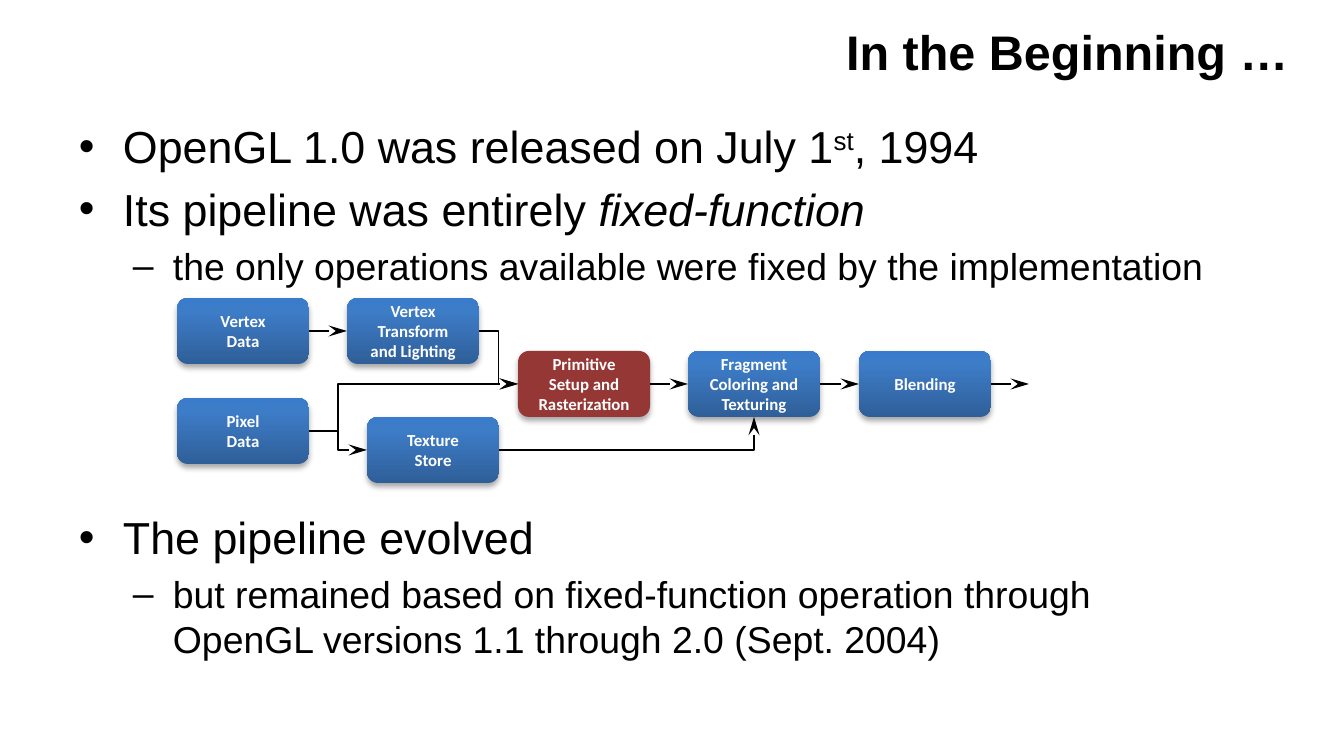
from copy import deepcopy
from dataclasses import dataclass

from lxml import etree
from pptx import Presentation
from pptx import util as u
from pptx.dml.color import RGBColor
from pptx.enum import shapes, text
from pptx.oxml import ns, parse_xml

PX = 914400 / 134.4


def px(length: int) -> int:
    return round(length * PX)


@dataclass(frozen=True)
class Theme:
    ink: str = "000000"
    label: str = "FFFFFF"
    accent: str = "953735"
    blues: tuple = ((0, "2F5F99"), (0.8, "3D7CC7"), (1, "3A7CCB"))
    body_font: str = "Arial"
    node_font: str = "Calibri"
    title_size: int = 26
    level_sizes: tuple = (24, 20)
    node_size: int = 9
    line_width: float = 0.75


@dataclass(frozen=True)
class Level:
    bullet: str
    margin: int
    hanging: int


@dataclass(frozen=True)
class Span:
    text: str
    italic: bool = False
    raised: bool = False


@dataclass(frozen=True)
class Bullet:
    level: int
    spans: tuple
    before: float


@dataclass(frozen=True)
class Node:
    label: str
    left: int
    top: int
    accent: bool = False

    @property
    def inlet(self) -> tuple:
        return self.left, self.top + NODE_HEIGHT // 2

    @property
    def outlet(self) -> tuple:
        return self.left + NODE_WIDTH, self.top + NODE_HEIGHT // 2

    @property
    def underside(self) -> tuple:
        return self.left + NODE_WIDTH // 2, self.top + NODE_HEIGHT


@dataclass(frozen=True)
class Link:
    start: tuple
    end: tuple
    preset: str = "line"
    bend: float = 0.5


THEME = Theme()
LEVELS = (Level("•", 44, 44), Level("–", 94, 40))
NODE_WIDTH, NODE_HEIGHT = 132, 66
COLUMNS = [177 + column * 341 // 2 for column in range(6)]
MAIN_ROW = 351

VERTEX = Node("Vertex\nData", COLUMNS[0], 298)
PIXEL = Node("Pixel\nData", COLUMNS[0], 398)
TRANSFORM = Node("Vertex Transform and Lighting", COLUMNS[1], 298)
TEXTURE = Node("Texture\nStore", 367, 417)
PRIMITIVE = Node("Primitive\nSetup and Rasterization", COLUMNS[2], MAIN_ROW, True)
FRAGMENT = Node("Fragment Coloring and Texturing", COLUMNS[3], MAIN_ROW)
BLENDING = Node("Blending", COLUMNS[4], MAIN_ROW)
NODES = (PRIMITIVE, FRAGMENT, BLENDING, VERTEX, PIXEL, TRANSFORM, TEXTURE)

LINKS = (
    Link(VERTEX.outlet, TRANSFORM.inlet),
    Link(TRANSFORM.outlet, PRIMITIVE.inlet, "bentConnector3"),
    Link(PIXEL.outlet, PRIMITIVE.inlet, "bentConnector3", 0.14),
    Link(PIXEL.outlet, TEXTURE.inlet, "bentConnector3"),
    Link(TEXTURE.outlet, FRAGMENT.underside, "bentConnector2"),
    Link(PRIMITIVE.outlet, FRAGMENT.inlet),
    Link(FRAGMENT.outlet, BLENDING.inlet),
    Link(BLENDING.outlet, (COLUMNS[5], BLENDING.outlet[1])),
)

BULLETS = (
    Bullet(0, (Span("OpenGL 1.0 was released on July 1"), Span("st", raised=True),
               Span(", 1994")), 0),
    Bullet(0, (Span("Its pipeline was entirely "), Span("fixed-function", italic=True)), 4.8),
    Bullet(1, (Span("the only operations available were fixed by the implementation"),), 4),
    Bullet(0, (Span("The pipeline evolved"),), 119),
    Bullet(1, (Span("but remained based on fixed-function operation through\v"
                    "OpenGL versions 1.1 through 2.0 (Sept. 2004)"),), 4),
)


def style(span, font: str, size: int, color: str, bold: bool = False) -> None:
    span.font.name = font
    span.font.size = u.Pt(size)
    span.font.bold = bold
    span.font.color.rgb = RGBColor.from_string(color)


def add_box(page, left: int, top: int, width: int, height: int):
    box = page.shapes.add_textbox(px(left), px(top), px(width), px(height))
    frame = box.text_frame
    frame.word_wrap = True
    frame.margin_left = frame.margin_right = px(12)
    frame.margin_top = frame.margin_bottom = px(6)
    return frame


def add_title(page, title: str) -> None:
    frame = add_box(page, 364, 13, 937, 77)
    frame.vertical_anchor = text.MSO_ANCHOR.MIDDLE
    frame.text = title
    para = frame.paragraphs[0]
    para.alignment = text.PP_ALIGN.RIGHT
    style(para.runs[0], THEME.body_font, THEME.title_size, THEME.ink, True)


def add_bullet(para, bullet: Bullet) -> None:
    level = LEVELS[bullet.level]
    para.level = bullet.level
    para.space_before = u.Pt(bullet.before)
    props = para._p.get_or_add_pPr()
    props.set("marL", str(px(level.margin)))
    props.set("indent", str(-px(level.hanging)))
    etree.SubElement(props, ns.qn("a:buFont"), typeface=THEME.body_font)
    etree.SubElement(props, ns.qn("a:buChar"), char=level.bullet)
    para.text = bullet.spans[0].text
    for part in bullet.spans[1:]:
        span = para.add_run()
        span.text = part.text
        span.font.italic = part.italic
        if part.raised:
            span._r.get_or_add_rPr().set("baseline", "30000")
    for span in para.runs:
        style(span, THEME.body_font, THEME.level_sizes[bullet.level], THEME.ink)


def add_body(page, bullets: tuple) -> None:
    frame = add_box(page, 67, 113, 1210, 587)
    for index, bullet in enumerate(bullets):
        add_bullet(frame.add_paragraph() if index else frame.paragraphs[0], bullet)


def fill_node(shape, accent: bool) -> None:
    if accent:
        shape.fill.solid()
        shape.fill.fore_color.rgb = RGBColor.from_string(THEME.accent)
        return
    shape.fill.gradient()
    shape.fill.gradient_angle = 90
    stops = shape._element.spPr.find(".//" + ns.qn("a:gsLst"))
    stops.append(deepcopy(stops[-1]))
    for stop, (position, color) in zip(shape.fill.gradient_stops, THEME.blues):
        stop.position = position
        stop.color.rgb = RGBColor.from_string(color)


def add_node(page, node: Node) -> None:
    shape = page.shapes.add_shape(
        shapes.MSO_SHAPE.ROUNDED_RECTANGLE,
        px(node.left), px(node.top), px(NODE_WIDTH), px(NODE_HEIGHT))
    fill_node(shape, node.accent)
    shape.line.fill.background()
    shape._element.spPr.append(parse_xml(
        f'<a:effectLst {ns.nsdecls("a")}><a:outerShdw blurRad="40000" dist="23000" '
        f'dir="5400000" rotWithShape="0"><a:srgbClr val="{THEME.ink}">'
        '<a:alpha val="35000"/></a:srgbClr></a:outerShdw></a:effectLst>'))
    frame = shape.text_frame
    frame.word_wrap = True
    frame.margin_top = frame.margin_bottom = 0
    frame.vertical_anchor = text.MSO_ANCHOR.MIDDLE
    frame.text = node.label
    for para in frame.paragraphs:
        para.alignment = text.PP_ALIGN.CENTER
        style(para.runs[0], THEME.node_font, THEME.node_size, THEME.label, True)


def add_link(page, link: Link) -> None:
    ends = [px(value) for value in link.start + link.end]
    connector = page.shapes.add_connector(shapes.MSO_CONNECTOR.STRAIGHT, *ends)
    connector.line.width = u.Pt(THEME.line_width)
    connector.line.color.rgb = RGBColor.from_string(THEME.ink)
    props = connector._element.spPr
    geometry = props.find(ns.qn("a:prstGeom"))
    geometry.set("prst", link.preset)
    if link.preset == "bentConnector3":
        etree.SubElement(geometry.find(ns.qn("a:avLst")), ns.qn("a:gd"),
                         name="adj1", fmla=f"val {round(link.bend * 100000)}")
    etree.SubElement(props.find(ns.qn("a:ln")), ns.qn("a:tailEnd"),
                     type="stealth", w="med", len="lg")
    etree.SubElement(props, ns.qn("a:effectLst"))


def main() -> None:
    deck = Presentation()
    deck.slide_width, deck.slide_height = px(1344), px(756)
    page = deck.slides.add_slide(deck.slide_layouts[6])
    add_title(page, "In the Beginning …")
    add_body(page, BULLETS)
    for node in NODES:
        add_node(page, node)
    for link in LINKS:
        add_link(page, link)
    deck.save("out.pptx")


if __name__ == "__main__":
    main()
